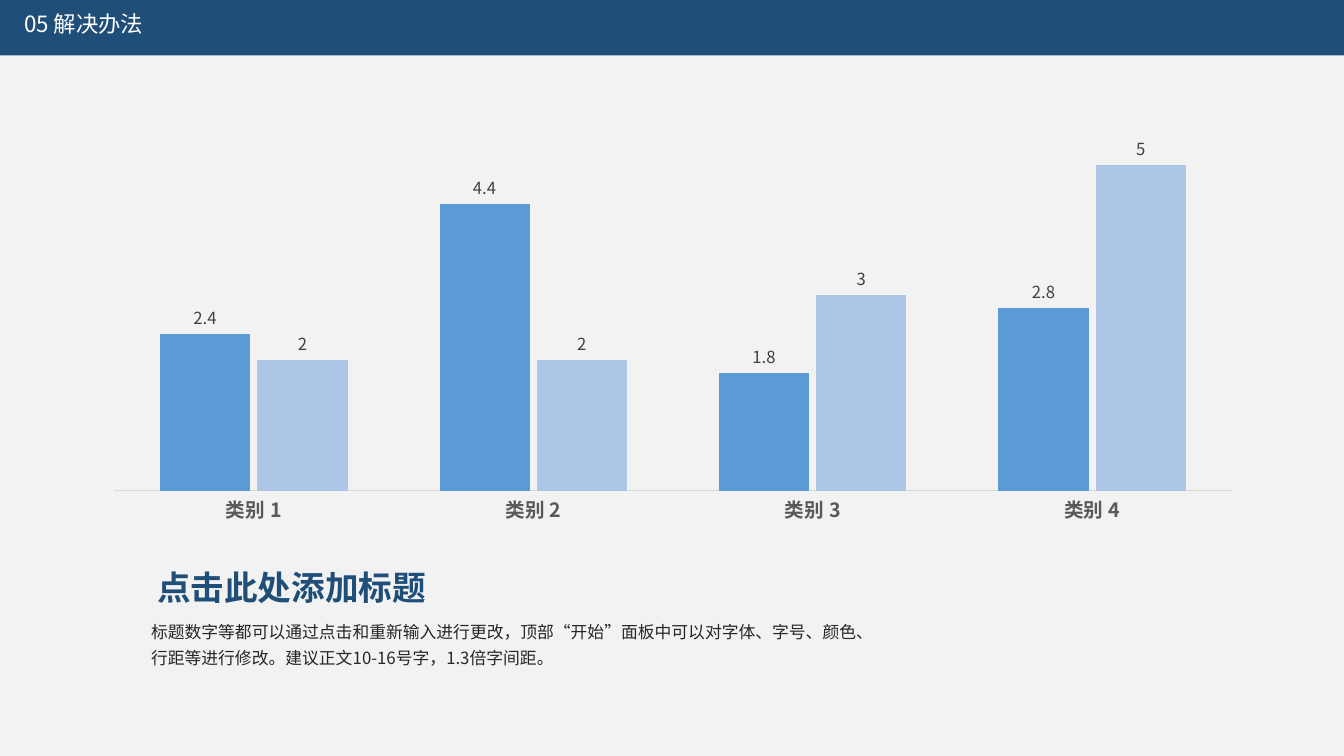
import pptx
import pptx.chart.data
import pptx.dml.color
import pptx.enum.chart
import pptx.enum.shapes
import pptx.enum.text
import pptx.oxml
import pptx.oxml.ns
import pptx.util
from pptx.util import Inches, Pt

RGBColor = pptx.dml.color.RGBColor
NAVY = RGBColor(0x1F, 0x4E, 0x79)
BLUE = RGBColor(0x5B, 0x9B, 0xD5)
PALE_BLUE = RGBColor(0xAD, 0xC6, 0xE5)
WHITE = RGBColor(0xFF, 0xFF, 0xFF)
BACKGROUND = RGBColor(0xF2, 0xF2, 0xF2)
AXIS_LINE = RGBColor(0xD9, 0xD9, 0xD9)
AXIS_TEXT = RGBColor(0x59, 0x59, 0x59)
LABEL_TEXT = RGBColor(0x40, 0x40, 0x40)
BODY_TEXT = RGBColor(0x26, 0x26, 0x26)
FONT = "Noto Sans CJK SC"

SLIDE_WIDTH, SLIDE_HEIGHT = 13.33, 7.5
HEADER = "05 解决办法"
TITLE = "点击此处添加标题"
BODY = ("标题数字等都可以通过点击和重新输入进行更改，顶部“开始”面板中可以对字体、字号、颜色、"
        "行距等进行修改。建议正文10-16号字，1.3倍字间距。")
CATEGORIES = ["类别 1", "类别 2", "类别 3", "类别 4"]
SERIES = [
    ("Series 1", (2.4, 4.4, 1.8, 2.8), BLUE),
    ("Series 2", (2, 2, 3, 5), PALE_BLUE),
]
CHART_AREA = (0.9, 0.9, 11.55, 4.36)
PLOT_SHARES = {"x": 0.02, "y": 0.02, "w": 0.96, "h": 0.89}


def format_font(font, size, color, bold=False):
    font.name, font.size, font.bold = FONT, Pt(size), bold
    font.color.rgb = color


def add_text(slide, text, area, size, color, bold=False, spacing=1.3,
             anchor=pptx.enum.text.MSO_ANCHOR.TOP):
    box = slide.shapes.add_textbox(*map(Inches, area))
    frame = box.text_frame
    frame.word_wrap = True
    frame.vertical_anchor = anchor
    para = frame.paragraphs[0]
    para.line_spacing = spacing
    span = para.add_run()
    span.text = text
    format_font(span.font, size, color, bold)
    east_asian = pptx.oxml.parse_xml(
        f'<a:ea {pptx.oxml.ns.nsdecls("a")} typeface="{FONT}"/>')
    span.font._element.find(pptx.oxml.ns.qn("a:latin")).addnext(east_asian)


def fix_plot_area(chart):
    """Place the inner plot area by shares of the chart's size."""
    plot_area = chart._chartSpace.chart.plotArea
    for layout in plot_area.findall(pptx.oxml.ns.qn("c:layout")):
        plot_area.remove(layout)
    shares = "".join(f'<c:{key} val="{share}"/>' for key, share in PLOT_SHARES.items())
    plot_area.insert(0, pptx.oxml.parse_xml(
        f'<c:layout {pptx.oxml.ns.nsdecls("c")}><c:manualLayout>'
        '<c:layoutTarget val="inner"/><c:xMode val="edge"/><c:yMode val="edge"/>'
        f'{shares}</c:manualLayout></c:layout>'))


def add_column_chart(slide):
    data = pptx.chart.data.CategoryChartData()
    data.categories = CATEGORIES
    for name, values, _ in SERIES:
        data.add_series(name, values)
    chart = slide.shapes.add_chart(
        pptx.enum.chart.XL_CHART_TYPE.COLUMN_CLUSTERED,
        *map(Inches, CHART_AREA), data).chart
    chart.has_legend = chart.has_title = False
    format_font(chart.font, 10, LABEL_TEXT)

    value_axis = chart.value_axis
    value_axis.minimum_scale, value_axis.maximum_scale = 0, 6
    value_axis.has_major_gridlines = False
    value_axis.visible = False
    category_axis = chart.category_axis
    category_axis.major_tick_mark = pptx.enum.chart.XL_TICK_MARK.NONE
    category_axis.format.line.color.rgb = AXIS_LINE
    category_axis.format.line.width = Pt(0.75)
    format_font(category_axis.tick_labels.font, 14, AXIS_TEXT, bold=True)

    plot = chart.plots[0]
    plot.gap_width, plot.overlap, plot.vary_by_categories = 102, -8, False
    for series, (_, _, color) in zip(plot.series, SERIES):
        series.format.fill.solid()
        series.format.fill.fore_color.rgb = color
        labels = series.data_labels
        labels.show_value = True
        labels.position = pptx.enum.chart.XL_LABEL_POSITION.OUTSIDE_END
        format_font(labels.font, 11.9, LABEL_TEXT)
    fix_plot_area(chart)


def main():
    deck = pptx.Presentation()
    deck.slide_width, deck.slide_height = Inches(SLIDE_WIDTH), Inches(SLIDE_HEIGHT)
    slide = deck.slides.add_slide(deck.slide_layouts[6])
    slide.background.fill.solid()
    slide.background.fill.fore_color.rgb = BACKGROUND

    banner = slide.shapes.add_shape(pptx.enum.shapes.MSO_SHAPE.RECTANGLE,
                                    0, 0, deck.slide_width, Inches(0.55))
    banner.shadow.inherit = False
    banner.fill.solid()
    banner.fill.fore_color.rgb = NAVY
    banner.line.fill.background()

    add_text(slide, HEADER, (0.14, 0.09, 13.07, 0.33), 16, WHITE, spacing=0.9,
             anchor=pptx.enum.text.MSO_ANCHOR.MIDDLE)
    add_text(slide, BODY, (1.4, 6.06, 7.49, 0.63), 12, BODY_TEXT)
    add_text(slide, TITLE, (1.46, 5.46, 8.19, 0.63), 24, NAVY, bold=True)
    add_column_chart(slide)
    deck.save("out.pptx")


if __name__ == "__main__":
    main()
